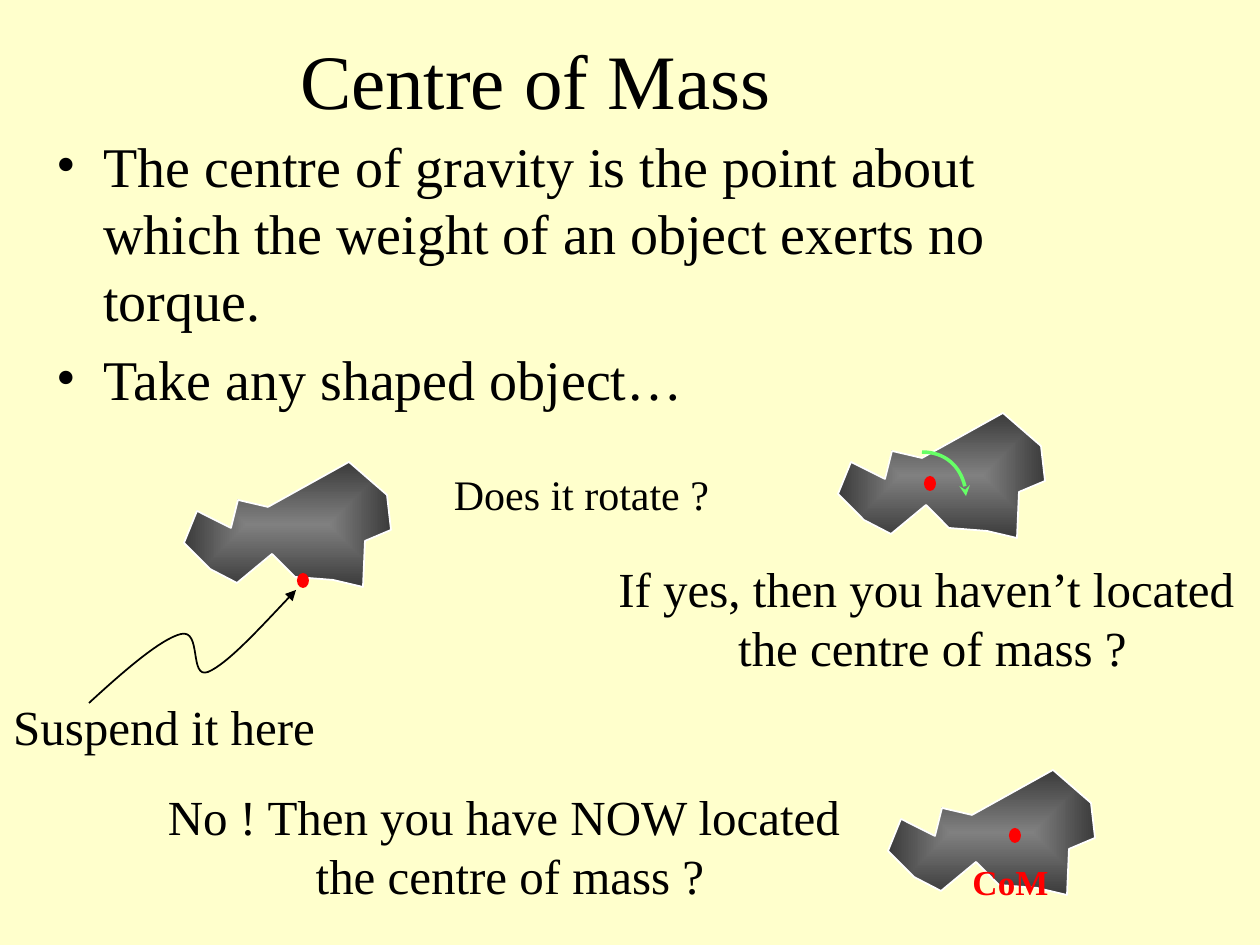
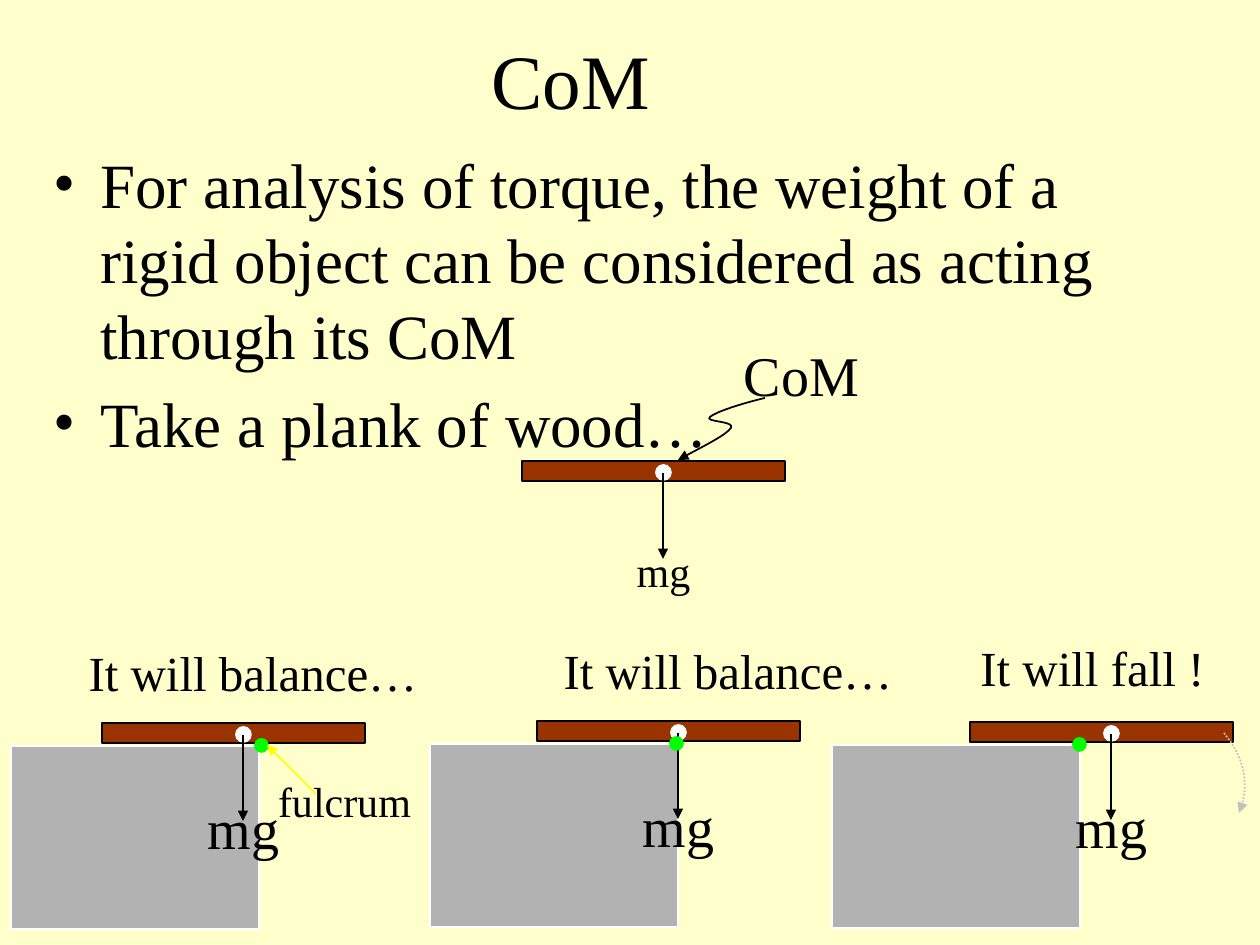
from lxml import etree
from pptx import Presentation
from pptx.dml.color import RGBColor
from pptx.enum.dml import MSO_LINE
from pptx.enum.shapes import MSO_CONNECTOR, MSO_SHAPE
from pptx.enum.text import MSO_ANCHOR, PP_ALIGN
from pptx.oxml.ns import qn
from pptx.util import Emu, Pt

RECTANGLE, ELLIPSE = MSO_SHAPE.RECTANGLE, MSO_SHAPE.OVAL
STRAIGHT = MSO_CONNECTOR.STRAIGHT
DOTTED = MSO_LINE.ROUND_DOT
CENTER, LEFT = PP_ALIGN.CENTER, PP_ALIGN.LEFT
MIDDLE, TOP = MSO_ANCHOR.MIDDLE, MSO_ANCHOR.TOP

SCALE = 914400 / 126
FONT = "Times New Roman"
CREAM, BLACK, WHITE = "FFFFCC", "000000", "FFFFFF"
RED, LIME, MINT, YELLOW = "FF0000", "00FF00", "66FF66", "FFFF00"
WOOD, STONE, SILVER = "993300", "B2B2B2", "C0C0C0"
MID_GRAY, DARK_GRAY = "808080", "3B3B3B"

OBJECT_OUTLINE = [
    (84, 45), (165, 0), (203, 33), (207, 68), (181, 79),
    (179, 125), (149, 118), (111, 115), (88, 92), (53, 121),
    (26, 107), (0, 81), (13, 49), (47, 66), (54, 38),
]
PLANK_WIDTH, PLANK_HEIGHT = 263, 20
MASS_X, MASS_Y = 141, 12


def px(value):
    return Emu(round(value * SCALE))


def color(value):
    return RGBColor.from_string(value)


def set_attributes(target, values):
    for name, value in values.items():
        setattr(target, name, value)


def style_line(shape, line_color, width=1):
    shape.line.color.rgb = color(line_color)
    shape.line.width = Pt(width)


def add_arrowhead(shape, kind="triangle"):
    line = shape.line._get_or_add_ln()
    etree.SubElement(line, qn("a:tailEnd"), type=kind)


def add_block(slide, kind, box, fill, line_color=None):
    shape = slide.shapes.add_shape(kind, *map(px, box))
    shape.shadow.inherit = False
    shape.fill.solid()
    shape.fill.fore_color.rgb = color(fill)
    if line_color:
        style_line(shape, line_color)
    else:
        shape.line.fill.background()
    return shape


def add_arrow(slide, start, end, line_color=BLACK):
    connector = slide.shapes.add_connector(STRAIGHT, *map(px, start + end))
    etree.SubElement(connector._element.spPr, qn("a:effectLst"))
    style_line(connector, line_color)
    add_arrowhead(connector)


def add_outline(slide, points, close):
    builder = slide.shapes.build_freeform(*points[0], scale=SCALE)
    builder.add_line_segments(points[1:], close=close)
    shape = builder.convert_to_shape()
    shape.shadow.inherit = False
    return shape


def add_curve(slide, points, line_color=BLACK, width=1, head="triangle", dash=None):
    shape = add_outline(slide, points, False)
    shape.fill.background()
    segments = list(shape._element.iter(qn("a:lnTo")))
    outline = segments[0].getparent()
    for start in range(0, len(segments), 3):
        curve = etree.SubElement(outline, qn("a:cubicBezTo"))
        for segment in segments[start:start + 3]:
            curve.append(segment[0])
            outline.remove(segment)
    style_line(shape, line_color, width)
    if dash:
        shape.line.dash_style = dash
    add_arrowhead(shape, head)


def add_text(slide, box, lines, size, font_color=BLACK, bold=False,
             wrap=False, anchor=TOP, align=CENTER):
    frame = slide.shapes.add_textbox(*map(px, box)).text_frame
    set_attributes(frame, {"word_wrap": wrap, "vertical_anchor": anchor})
    for index, line in enumerate(lines):
        paragraph = frame.paragraphs[0] if index == 0 else frame.add_paragraph()
        paragraph.alignment = align
        run = paragraph.add_run()
        run.text = line
        set_attributes(run.font, {"name": FONT, "size": Pt(size), "bold": bold})
        run.font.color.rgb = color(font_color)
    return frame


def add_title(slide, left, text):
    add_text(slide, (left, 0, 1071, 158), [text], 44, wrap=True, anchor=MIDDLE)


def add_bullets(slide, box, lines, size):
    frame = add_text(slide, box, lines, size, wrap=True, align=LEFT)
    for paragraph in frame.paragraphs:
        paragraph.space_before = Pt(size * 0.2)
        properties = paragraph._p.get_or_add_pPr()
        properties.set("marL", str(px(47)))
        properties.set("indent", str(-px(47)))
        etree.SubElement(properties, qn("a:buFont"), typeface=FONT)
        etree.SubElement(properties, qn("a:buChar"), char="•")


def add_object(slide, left, top, pivot_x, pivot_y):
    points = [(left + x, top + y) for x, y in OBJECT_OUTLINE]
    shape = add_outline(slide, points, True)
    shape.fill.gradient()
    for stop, shade in zip(shape.fill.gradient_stops, (MID_GRAY, DARK_GRAY)):
        stop.color.rgb = color(shade)
    gradient = shape._element.spPr.find(qn("a:gradFill"))
    gradient.remove(gradient.find(qn("a:lin")))
    focus = etree.SubElement(gradient, qn("a:path"), path="rect")
    etree.SubElement(focus, qn("a:fillToRect"), l="50000", t="50000", r="50000", b="50000")
    style_line(shape, WHITE)
    add_block(slide, ELLIPSE, (left + pivot_x, top + pivot_y, 12, 15), RED)


def add_plank(slide, left, top, label_size, label_top):
    add_block(slide, RECTANGLE, (left, top, PLANK_WIDTH, PLANK_HEIGHT), WOOD, BLACK)
    add_block(slide, ELLIPSE, (left + MASS_X - 7, top + 4, 15, 15), WHITE, WHITE)
    x = left + MASS_X
    add_arrow(slide, (x, top + MASS_Y), (x, top + 98))
    add_text(slide, (x - 48, top + label_top, 97, 2 * label_size), ["mg"], label_size)


def add_balance_case(slide, left, top, block_left, fulcrum_left, caption, caption_box):
    add_block(slide, RECTANGLE, (block_left, top + 23, 248, 183), STONE, WHITE)
    add_plank(slide, left, top, 32, 64)
    caption_left, caption_top, caption_width = caption_box
    add_text(slide, (left + caption_left, top + caption_top, caption_width, 72), [caption], 28)
    add_block(slide, ELLIPSE, (fulcrum_left, top + 16, 13, 13), LIME, LIME)


def new_slide(presentation):
    slide = presentation.slides.add_slide(presentation.slide_layouts[6])
    slide.background.fill.solid()
    slide.background.fill.fore_color.rgb = color(CREAM)
    return slide


def build_centre_of_mass(presentation):
    slide = new_slide(presentation)
    add_title(slide, 0, "Centre of Mass")
    add_bullets(slide, (44, 125, 1071, 567), [
        "The centre of gravity is the point about which the weight of an object exerts no torque.",
        "Take any shaped object…",
    ], 32)
    add_object(slide, 184, 462, 113, 111)
    add_text(slide, (0, 690, 328, 72), ["Suspend it here"], 28)
    add_curve(slide, [(89, 703), (125, 670), (161, 639), (181, 634), (202, 629),
                      (189, 679), (208, 672), (227, 664), (261, 627), (296, 590)])
    add_text(slide, (441, 462, 281, 63), ["Does it rotate ?"], 24)
    add_object(slide, 838, 413, 86, 63)
    add_curve(slide, [(922, 452), (946, 452), (966, 472), (966, 496)], MINT, 2, "stealth")
    add_text(slide, (605, 552, 655, 130),
             ["If yes, then you haven’t located ", "the centre of mass ?"], 28)
    add_object(slide, 888, 770, 121, 58)
    add_text(slide, (960, 854, 101, 54), ["CoM"], 20, RED, True)
    add_text(slide, (154, 780, 712, 130),
             ["No ! Then you have NOW located ", "the centre of mass ?"], 28)


def build_plank(presentation):
    slide = new_slide(presentation)
    add_title(slide, 35, "CoM")
    add_bullets(slide, (41, 139, 1068, 203), [
        "For analysis of torque, the weight of a rigid object can be considered as acting through its CoM",
        "Take a plank of wood…",
    ], 36)
    add_plank(slide, 522, 461, 24, 78)
    add_text(slide, (731, 334, 141, 79), ["CoM"], 32)
    add_curve(slide, [(765, 398), (740, 404), (716, 412), (710, 417), (703, 422),
                      (736, 421), (731, 428), (726, 435), (702, 447), (678, 460)])
    cases = [
        (102, 723, 11, 255, "It will balance…", (-26, -87, 354)),
        (537, 721, 430, 670, "It will balance…", (14, -87, 354)),
        (970, 722, 832, 1073, "It will fall !", (-2, -91, 249)),
    ]
    for case in cases:
        add_balance_case(slide, *case)
    add_arrow(slide, (316, 794), (267, 745), YELLOW)
    add_text(slide, (265, 769, 159, 63), ["fulcrum"], 24)
    add_curve(slide, [(1224, 733), (1244, 757), (1250, 789), (1239, 813)], SILVER, dash=DOTTED)


def main():
    presentation = Presentation()
    set_attributes(presentation, {"slide_width": px(1260), "slide_height": px(945)})
    build_centre_of_mass(presentation)
    build_plank(presentation)
    presentation.save("out.pptx")


if __name__ == "__main__":
    main()
